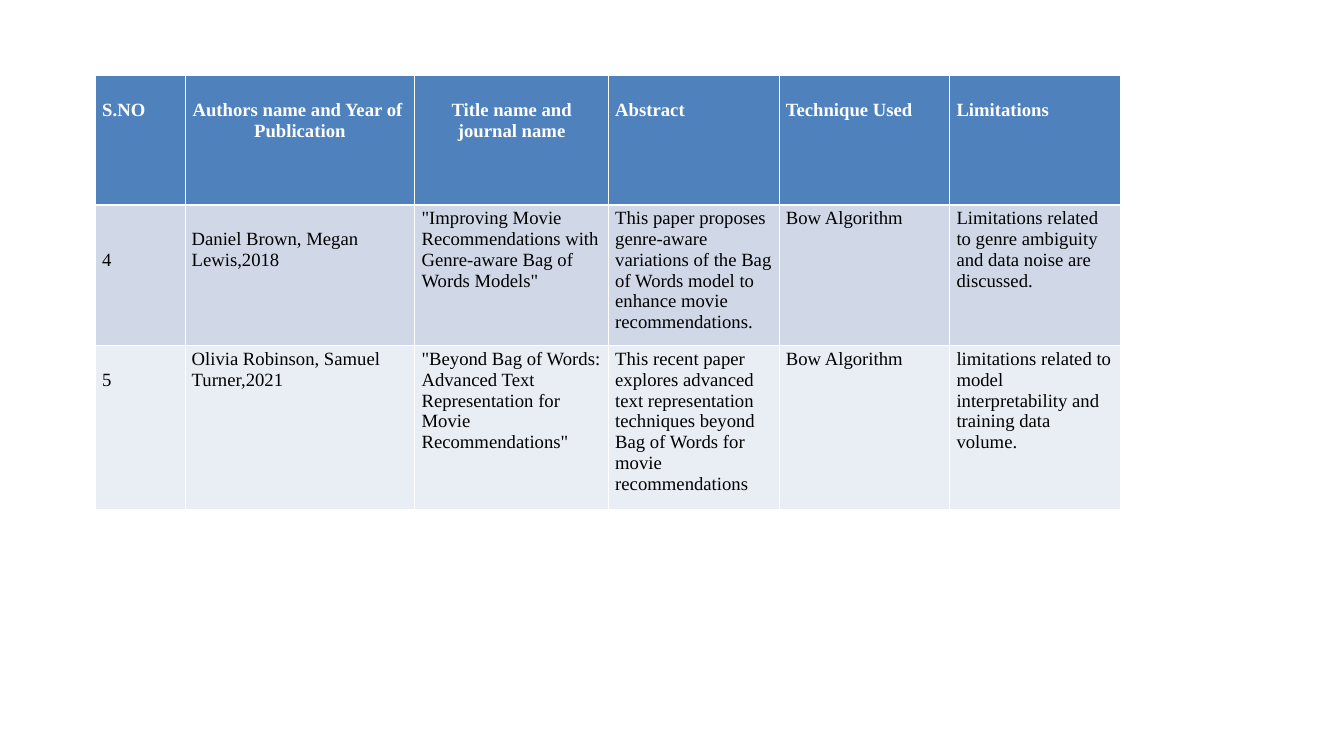
from lxml import etree
from pptx import Presentation
from pptx import util as u
from pptx.dml.color import RGBColor
from pptx.enum import text
from pptx.oxml import ns

FONT = "Times New Roman"
SIZE = u.Pt(20)
MARGIN = 0.13
LINE = 0.78
COLUMNS = [3.38, 8.69, 7.32, 6.45, 6.45, 6.45]
ROWS = [4.88, 5.33, 6.17]
FILLS = ["4F81BD", "D0D8E8", "E9EDF4"]
LINES_ABOVE = [[1] * 6, [2, 1, 0, 0, 0, 0], [1, 0, 0, 0, 0, 0]]
PAPERS = [
    ["S.NO", "Authors name and Year of \nPublication",
     "Title name and journal name", "Abstract", "Technique Used", "Limitations"],
    ["4", "Daniel Brown, Megan Lewis,2018",
     '"Improving Movie Recommendations with Genre-aware Bag of Words Models"',
     "This paper proposes genre-aware variations of the Bag of Words model to "
     "enhance movie recommendations.",
     "Bow Algorithm",
     "Limitations related to genre ambiguity and data noise are discussed."],
    ["5", "Olivia Robinson, Samuel Turner,2021",
     '"Beyond Bag of Words: Advanced Text Representation for Movie Recommendations"',
     "This recent paper explores advanced text representation techniques beyond "
     "Bag of Words for movie recommendations",
     "Bow Algorithm",
     "limitations related to model interpretability and training data volume."],
]


def color(value):
    return RGBColor.from_string(value)


def set_borders(cell, widths):
    tc_pr = cell._tc.get_or_add_tcPr()
    for i, (side, width) in enumerate(zip("LRTB", widths)):
        ln = etree.Element(ns.qn(f"a:ln{side}"), w=str(u.Pt(width)))
        fill = etree.SubElement(ln, ns.qn("a:solidFill"))
        etree.SubElement(fill, ns.qn("a:srgbClr"), val="FFFFFF")
        tc_pr.insert(i, ln)


def write_cell(cell, content, lines_above, header, centered):
    cell.margin_top = u.Cm(MARGIN + LINE * lines_above)
    tf = cell.text_frame
    for i, line in enumerate(content.split("\n")):
        p = tf.add_paragraph() if i else tf.paragraphs[0]
        p.alignment = text.PP_ALIGN.CENTER if centered else text.PP_ALIGN.LEFT
        r = p.add_run()
        r.text = line
        r.font.name = FONT
        r.font.size = SIZE
        r.font.bold = header
        r.font.color.rgb = color("FFFFFF" if header else "000000")


def add_literature_table(s, left, top):
    frame = s.shapes.add_table(len(ROWS), len(COLUMNS), u.Cm(left), u.Cm(top),
                               u.Cm(sum(COLUMNS)), u.Cm(sum(ROWS)))
    table = frame.table
    for column, width in zip(table.columns, COLUMNS):
        column.width = u.Cm(width)
    for i, row in enumerate(table.rows):
        row.height = u.Cm(ROWS[i])
        header = i == 0
        for j, cell in enumerate(row.cells):
            cell.fill.solid()
            cell.fill.fore_color.rgb = color(FILLS[i])
            set_borders(cell, (1, 1, 3 if i == 1 else 1, 3 if header else 1))
            write_cell(cell, PAPERS[i][j], LINES_ABOVE[i][j], header,
                       header and j in (1, 2))


prs = Presentation()
prs.slide_width, prs.slide_height = u.Cm(50.8), u.Cm(28.58)
s = prs.slides.add_slide(prs.slide_layouts[6])
add_literature_table(s, 3.61, 2.86)
prs.save("out.pptx")
